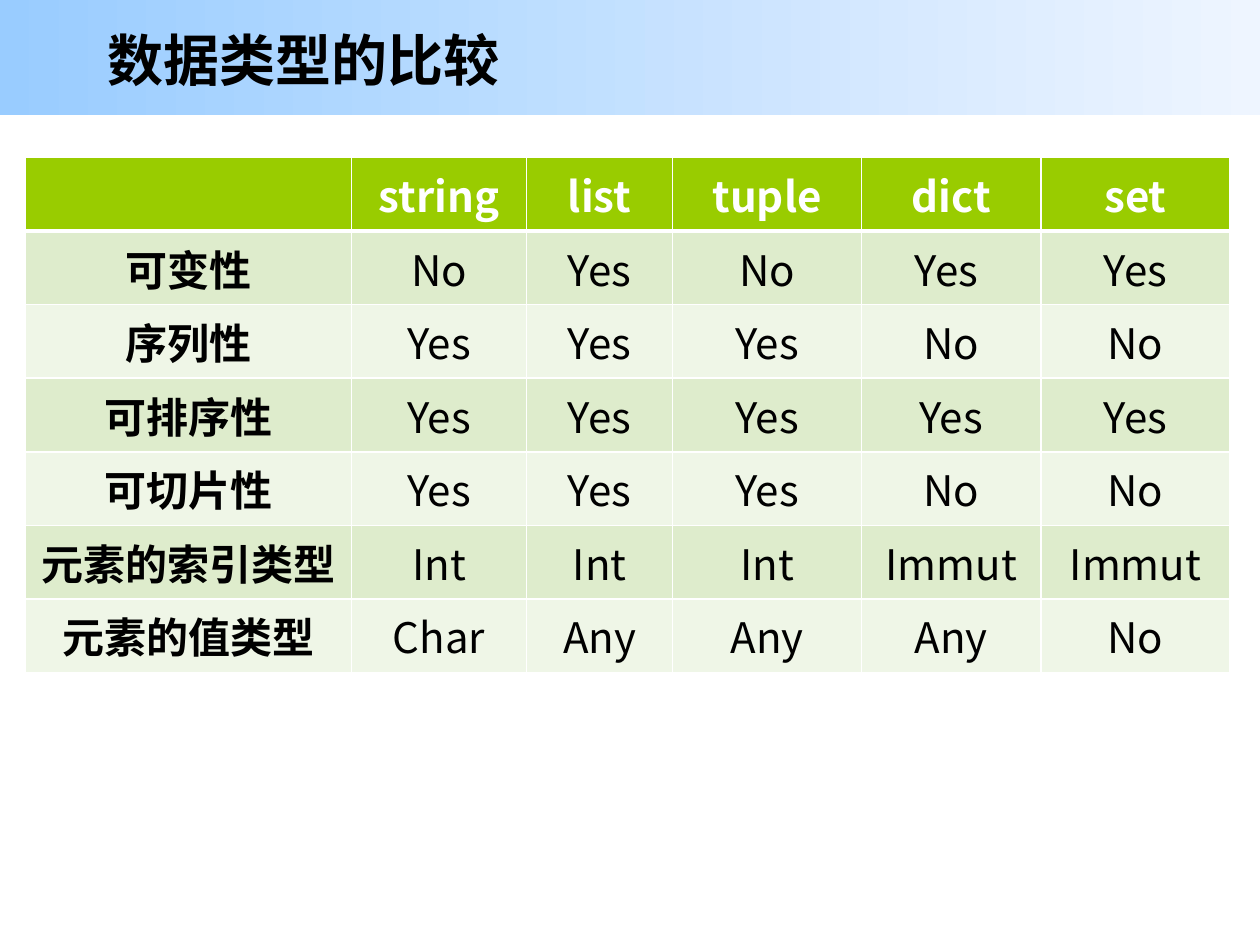
from lxml import etree
from pptx import Presentation
from pptx.dml.color import RGBColor
from pptx.enum.shapes import MSO_SHAPE
from pptx.enum.text import MSO_ANCHOR, PP_ALIGN
from pptx.oxml.ns import qn
from pptx.util import Pt

RECTANGLE = MSO_SHAPE.RECTANGLE
MIDDLE = MSO_ANCHOR.MIDDLE
LEFT, CENTER = PP_ALIGN.LEFT, PP_ALIGN.CENTER

FONT = "Noto Sans CJK SC"
BLACK = RGBColor(0x00, 0x00, 0x00)
WHITE = RGBColor(0xFF, 0xFF, 0xFF)
BAND_START = RGBColor(0x99, 0xCC, 0xFF)
BAND_END = RGBColor(0xEE, 0xF5, 0xFF)
HEADER_GREEN = RGBColor(0x99, 0xCC, 0x00)
ROW_GREENS = [RGBColor(0xEF, 0xF6, 0xE7), RGBColor(0xDE, 0xEC, 0xCC)]

COMPARISON = [
    ["", "string", "list", "tuple", "dict", "set"],
    ["可变性", "No", "Yes", "No", "Yes ", "Yes"],
    ["序列性", "Yes", "Yes", "Yes", "No", "No"],
    ["可排序性", "Yes", "Yes", "Yes", "Yes", "Yes"],
    ["可切片性", "Yes", "Yes", "Yes", "No", "No"],
    ["元素的索引类型", "Int", "Int", "Int", "Immut", "Immut"],
    ["元素的值类型", "Char", "Any", "Any", "Any", "No"],
]
COLUMN_WIDTHS = [186.5, 100, 83.5, 108, 102.5, 108]


def format_text(paragraph, size, color, bold, alignment):
    paragraph.alignment = alignment
    font = paragraph.font
    font.name, font.size, font.bold = FONT, Pt(size), bold
    font.color.rgb = color
    east_asian = etree.SubElement(font._element, qn("a:ea"))
    east_asian.set("typeface", FONT)


def add_border(cell, side, width):
    line = etree.SubElement(cell._tc.get_or_add_tcPr(), qn(f"a:ln{side}"))
    line.set("w", str(Pt(width)))
    fill = etree.SubElement(line, qn("a:solidFill"))
    etree.SubElement(fill, qn("a:srgbClr")).set("val", str(WHITE))


prs = Presentation()
prs.slide_width, prs.slide_height = Pt(720), Pt(540)
slide = prs.slides.add_slide(prs.slide_layouts[5])

# Gradient band behind the title
band = slide.shapes.add_shape(RECTANGLE, 0, 0, Pt(720), Pt(66))
band.shadow.inherit = False
band.line.fill.background()
band.fill.gradient()
band.fill.gradient_angle = 0
for stop, color in zip(band.fill.gradient_stops, [BAND_START, BAND_END]):
    stop.color.rgb = color
slide.shapes._spTree.insert(2, band._element)

# Title
title = slide.shapes.title
title.left, title.top, title.width, title.height = Pt(54), Pt(10), Pt(586), Pt(48)
title.text_frame.text = "数据类型的比较"
title.text_frame.vertical_anchor = MIDDLE
format_text(title.text_frame.paragraphs[0], 32, BLACK, True, LEFT)

# Comparison table
table = slide.shapes.add_table(len(COMPARISON), len(COLUMN_WIDTHS), Pt(14.4), Pt(90),
                               Pt(sum(COLUMN_WIDTHS)), Pt(252)).table
for column, width in zip(table.columns, COLUMN_WIDTHS):
    column.width = Pt(width)

for r, row in enumerate(COMPARISON):
    is_header = r == 0
    for c, value in enumerate(row):
        cell = table.cell(r, c)
        # Borders come before the fill in the cell properties
        add_border(cell, "L", 1)
        add_border(cell, "R", 1)
        add_border(cell, "T", 3 if r == 1 else 1)
        add_border(cell, "B", 3 if is_header else 1)
        cell.fill.solid()
        cell.fill.fore_color.rgb = HEADER_GREEN if is_header else ROW_GREENS[r % 2]
        cell.vertical_anchor = MIDDLE
        if value:
            cell.text = value
            format_text(cell.text_frame.paragraphs[0], 24,
                        WHITE if is_header else BLACK, is_header or c == 0, CENTER)

prs.save("out.pptx")
